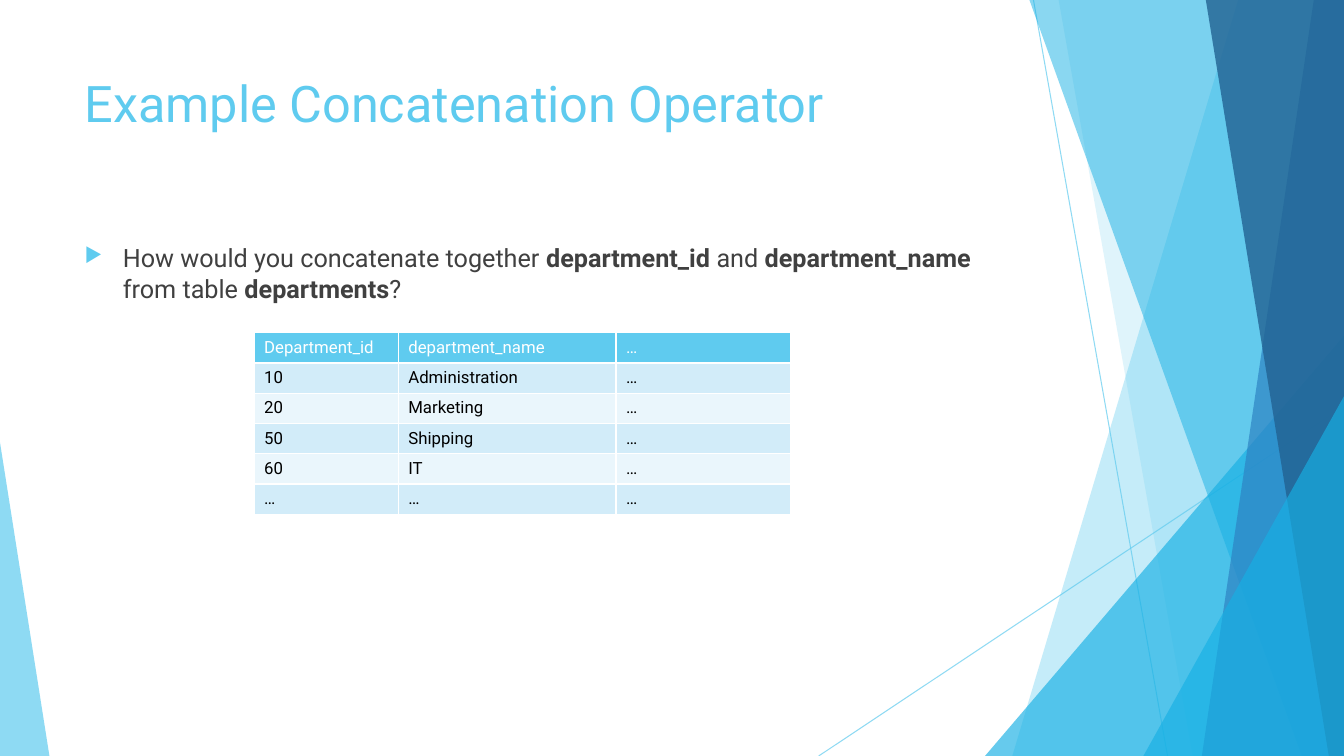
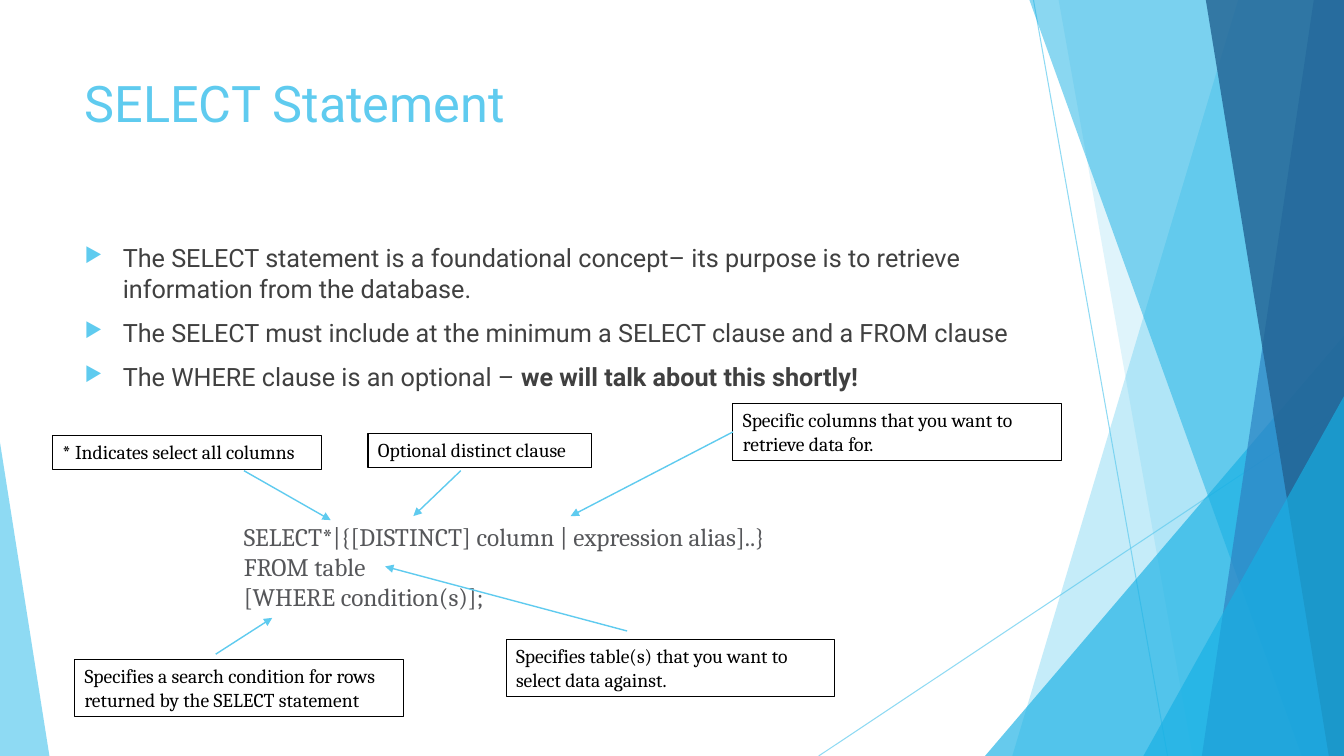
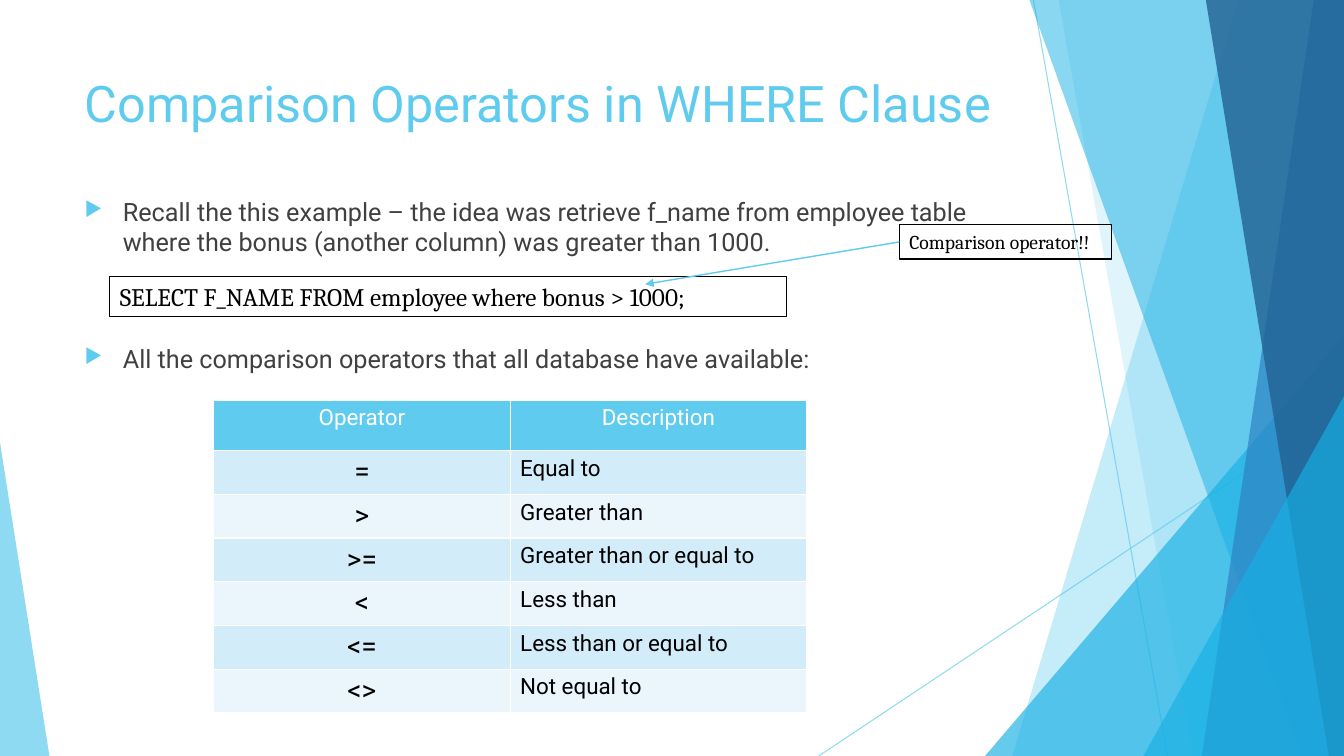
from dataclasses import dataclass
from typing import Optional, Sequence, Union

from lxml.etree import SubElement
from pptx import Presentation
from pptx.dml.color import RGBColor
from pptx.enum.shapes import MSO_CONNECTOR, MSO_SHAPE, PP_PLACEHOLDER
from pptx.enum.text import MSO_ANCHOR, MSO_AUTO_SIZE, PP_ALIGN
from pptx.oxml.ns import qn
from pptx.util import Emu, Pt

PX = 9144
WIDTH, HEIGHT = 1333, 750
TITLE_ONLY = 5
LEFT_SIDE = 1

SKY = RGBColor(0x5F, 0xCB, 0xEF)
AZURE = RGBColor(0x17, 0xB0, 0xE4)
BLUE = RGBColor(0x2E, 0x83, 0xC3)
NAVY = RGBColor(0x22, 0x62, 0x92)
WHITE = RGBColor(0xFF, 0xFF, 0xFF)
BLACK = RGBColor(0x00, 0x00, 0x00)
BODY_GREY = RGBColor(0x40, 0x40, 0x40)
CODE_GREY = RGBColor(0x56, 0x57, 0x5A)
ROW_FILLS = (RGBColor(0xD2, 0xEC, 0xF9), RGBColor(0xEA, 0xF6, 0xFC))

SANS = "Roboto"
SERIF = "Cambria"


@dataclass(frozen=True)
class Band:
    top_x: int
    bottom_x: int
    color: RGBColor
    opacity: int


@dataclass(frozen=True)
class Wedge:
    left: int
    top: int
    width: int
    apex: int
    color: RGBColor
    opacity: int


@dataclass(frozen=True)
class Span:
    text: str
    bold: bool = False


@dataclass(frozen=True)
class Note:
    text: str
    left: int
    top: int
    width: int
    height: int
    size: int = 14


@dataclass(frozen=True)
class Arrow:
    x1: int
    y1: int
    x2: int
    y2: int


@dataclass(frozen=True)
class Column:
    heading: str
    width: int
    size: int
    align: PP_ALIGN = PP_ALIGN.LEFT


@dataclass(frozen=True)
class Grid:
    left: int
    top: int
    header_height: int
    row_height: int
    header_size: int
    header_align: PP_ALIGN
    columns: Sequence[Column]
    rows: Sequence[Sequence[str]]


BACKDROP_LINES = (Arrow(1025, 0, 1158, 750), Arrow(1333, 403, 812, 750))
BACKDROP_FACETS = (
    Band(1228, 1004, SKY, 36),
    Band(1050, 1183, SKY, 20),
    Wedge(977, 333, 356, 1, AZURE, 66),
    Band(1021, 1291, AZURE, 50),
    Band(1303, 1192, BLUE, 70),
    Band(1196, 1318, NAVY, 80),
    Wedge(1134, 393, 199, 1, AZURE, 66),
    Wedge(0, 439, 49, 0, SKY, 70),
)

DEPARTMENTS = Grid(
    252, 330, 29, 29, 12, PP_ALIGN.LEFT,
    (Column("Department_id", 143, 12), Column("department_name", 216, 12), Column("…", 173, 12)),
    (
        ("10", "Administration", "…"),
        ("20", "Marketing", "…"),
        ("50", "Shipping", "…"),
        ("60", "IT", "…"),
        ("…", "…", "…"),
    ),
)
OPERATORS = Grid(
    212, 397, 50, 43, 16, PP_ALIGN.CENTER,
    (Column("Operator", 294, 20, PP_ALIGN.CENTER), Column("Description", 294, 16)),
    (
        ("=", "Equal to"),
        (">", "Greater than"),
        (">=", "Greater than or equal to"),
        ("<", "Less than"),
        ("<=", "Less than or equal to"),
        ("<>", "Not equal to"),
    ),
)

SELECT_NOTES = (
    Note("Specifies a search condition for rows returned by the SELECT statement", 74, 654, 326, 57),
    Note("Specifies table(s) that you want to select data against.", 502, 634, 326, 57),
    Note("Optional distinct clause", 365, 430, 222, 34),
    Note("* Indicates select all columns", 52, 432, 267, 34),
)
SELECT_ARROWS = (
    Arrow(622, 626, 382, 562),
    Arrow(457, 467, 410, 512),
    Arrow(214, 649, 270, 613),
    Arrow(242, 467, 328, 516),
)
COLUMNS_NOTE = Note("Specific columns that you want to retrieve data for.", 727, 400, 326, 57)
QUERY_NOTE = Note("SELECT F_NAME FROM employee where bonus > 1000;", 109, 274, 671, 40, 18)
OPERATOR_NOTE = Note("Comparison operator!!", 892, 223, 210, 34)


def px(*lengths: int) -> list[Emu]:
    return [Emu(length * PX) for length in lengths]


def set_font(para, name: str, size: int, color: RGBColor) -> None:
    para.font.name = name
    para.font.size = Pt(size)
    para.font.color.rgb = color


def set_opacity(shape, percent: int) -> None:
    for color in shape.element.iter(qn("a:srgbClr")):
        SubElement(color, qn("a:alpha"), val=str(percent * 1000))


def add_line(page, line: Arrow, weight: float):
    connector = page.shapes.add_connector(
        MSO_CONNECTOR.STRAIGHT, *px(line.x1, line.y1, line.x2, line.y2)
    )
    connector.line.color.rgb = SKY
    connector.line.width = Pt(weight)
    SubElement(connector.element.spPr, qn("a:effectLst"))
    return connector


def add_arrow(page, arrow: Arrow, source=None) -> None:
    connector = add_line(page, arrow, 1)
    SubElement(connector.element.spPr.find(qn("a:ln")), qn("a:tailEnd"), type="triangle")
    if source is not None:
        connector.begin_connect(source, LEFT_SIDE)


def add_facet(page, facet: Union[Band, Wedge]):
    if isinstance(facet, Band):
        outline = page.shapes.build_freeform(facet.top_x, 0, scale=PX)
        outline.add_line_segments([(WIDTH, 0), (WIDTH, HEIGHT), (facet.bottom_x, HEIGHT)])
        shape = outline.convert_to_shape()
    else:
        shape = page.shapes.add_shape(
            MSO_SHAPE.ISOSCELES_TRIANGLE,
            *px(facet.left, facet.top, facet.width, HEIGHT - facet.top),
        )
        shape.adjustments[0] = facet.apex
    shape.shadow.inherit = False
    shape.fill.solid()
    shape.fill.fore_color.rgb = facet.color
    shape.line.fill.background()
    set_opacity(shape, facet.opacity)
    return shape


def add_backdrop(page, layout) -> None:
    for holder in list(layout.placeholders):
        if holder.placeholder_format.type != PP_PLACEHOLDER.TITLE:
            holder.element.getparent().remove(holder.element)
    layout_title = layout.placeholders[0].element
    for line in BACKDROP_LINES:
        connector = add_line(page, line, 0.75)
        set_opacity(connector, 70)
        layout_title.addprevious(connector.element)
    for facet in BACKDROP_FACETS:
        layout_title.addprevious(add_facet(page, facet).element)


def set_title(page, text: str) -> None:
    title = page.shapes.title
    title.left, title.top, title.width, title.height = px(74, 67, 940, 144)
    frame = title.text_frame
    frame.text = text
    frame.vertical_anchor = MSO_ANCHOR.TOP
    frame.auto_size = MSO_AUTO_SIZE.NONE
    para = frame.paragraphs[0]
    para.alignment = PP_ALIGN.LEFT
    set_font(para, SANS, 36, SKY)


def add_bullet_mark(para) -> None:
    props = para._p.get_or_add_pPr()
    props.set("marL", str(38 * PX))
    props.set("indent", str(-38 * PX))
    SubElement(SubElement(props, qn("a:buClr")), qn("a:srgbClr"), val=str(SKY))
    SubElement(props, qn("a:buSzPct"), val="80000")
    SubElement(props, qn("a:buChar"), char="▶")


def add_bullets(page, top: int, height: int, items: Sequence[Sequence[Span]]) -> None:
    box = page.shapes.add_textbox(*px(74, top, 940, height))
    frame = box.text_frame
    frame.word_wrap = True
    for index, spans in enumerate(items):
        para = frame.add_paragraph() if index else frame.paragraphs[0]
        add_bullet_mark(para)
        if index:
            para.space_before = Pt(10)
        set_font(para, SANS, 18, BODY_GREY)
        for span in spans:
            run = para.add_run()
            run.text = span.text
            if span.bold:
                run.font.bold = True


def add_code(page, lines: Sequence[str]) -> None:
    box = page.shapes.add_textbox(*px(232, 512, 667, 101))
    frame = box.text_frame
    frame.word_wrap = True
    frame.text = "\n".join(lines)
    for para in frame.paragraphs:
        set_font(para, SERIF, 18, CODE_GREY)


def add_note(page, note: Note):
    box = page.shapes.add_shape(
        MSO_SHAPE.RECTANGLE, *px(note.left, note.top, note.width, note.height)
    )
    box.shadow.inherit = False
    box.fill.background()
    box.line.color.rgb = BLACK
    box.line.width = Pt(0.75)
    frame = box.text_frame
    frame.word_wrap = True
    frame.auto_size = MSO_AUTO_SIZE.SHAPE_TO_FIT_TEXT
    frame.vertical_anchor = MSO_ANCHOR.TOP
    frame.text = note.text
    para = frame.paragraphs[0]
    para.alignment = PP_ALIGN.LEFT
    set_font(para, SERIF, note.size, BLACK)
    return box


def fill_cell(cell, text: str, size: int, align: PP_ALIGN, color: RGBColor, fill: RGBColor) -> None:
    cell.text = text
    para = cell.text_frame.paragraphs[0]
    para.alignment = align
    set_font(para, SANS, size, color)
    para.font.bold = False
    props = cell._tc.get_or_add_tcPr()
    for side in ("a:lnL", "a:lnR", "a:lnT", "a:lnB"):
        border = SubElement(props, qn(side), w=str(Pt(1)))
        SubElement(SubElement(border, qn("a:solidFill")), qn("a:srgbClr"), val=str(WHITE))
    cell.fill.solid()
    cell.fill.fore_color.rgb = fill


def add_grid(page, grid: Grid) -> None:
    heights = [grid.header_height] + [grid.row_height] * len(grid.rows)
    widths = [column.width for column in grid.columns]
    table = page.shapes.add_table(
        len(heights), len(widths), *px(grid.left, grid.top, sum(widths), sum(heights))
    ).table
    for row, height in zip(table.rows, px(*heights)):
        row.height = height
    for index, column in enumerate(grid.columns):
        table.columns[index].width = Emu(column.width * PX)
        fill_cell(
            table.cell(0, index), column.heading, grid.header_size, grid.header_align, WHITE, SKY
        )
        for number, values in enumerate(grid.rows):
            fill_cell(
                table.cell(number + 1, index), values[index], column.size, column.align,
                BLACK, ROW_FILLS[number % 2],
            )


def build_concatenation(page) -> None:
    set_title(page, "Example Concatenation Operator")
    question = (
        Span("How would you concatenate together "),
        Span("department_id ", True),
        Span("and "),
        Span("department_name ", True),
        Span("from table "),
        Span("departments", True),
        Span("?"),
    )
    add_bullets(page, 236, 93, [question])
    add_grid(page, DEPARTMENTS)


def build_select(page) -> None:
    set_title(page, "SELECT Statement")
    add_bullets(page, 236, 216, [
        [Span("The SELECT statement is a foundational concept– its purpose is to retrieve "
              "information from the database.")],
        [Span("The SELECT must include at the minimum a SELECT clause and a FROM clause")],
        [Span("The WHERE clause is an optional – "), Span("we will talk about this shortly!", True)],
    ])
    add_code(page, (
        "SELECT*|{[DISTINCT] column | expression alias]..}",
        "FROM table",
        "[WHERE condition(s)];",
    ))
    for note in SELECT_NOTES:
        add_note(page, note)
    for arrow in SELECT_ARROWS:
        add_arrow(page, arrow)
    add_arrow(page, Arrow(727, 428, 566, 512), add_note(page, COLUMNS_NOTE))


def build_comparison(page) -> None:
    set_title(page, "Comparison Operators in WHERE Clause")
    add_bullets(page, 190, 84, [[
        Span("Recall the this example – the idea was retrieve f_name from employee table "
             "where the bonus (another column) was greater than 1000.")
    ]])
    add_note(page, QUERY_NOTE)
    add_arrow(page, Arrow(892, 240, 640, 282), add_note(page, OPERATOR_NOTE))
    add_bullets(page, 336, 58, [
        [Span("All the comparison operators that all database have available:")]
    ])
    add_grid(page, OPERATORS)


def main() -> None:
    deck = Presentation()
    deck.slide_width, deck.slide_height = px(WIDTH, HEIGHT)
    layout = deck.slide_layouts[TITLE_ONLY]
    for index, build in enumerate((build_concatenation, build_select, build_comparison)):
        page = deck.slides.add_slide(layout)
        if index == 0:
            add_backdrop(page, layout)
        build(page)
    deck.save("out.pptx")


if __name__ == "__main__":
    main()
